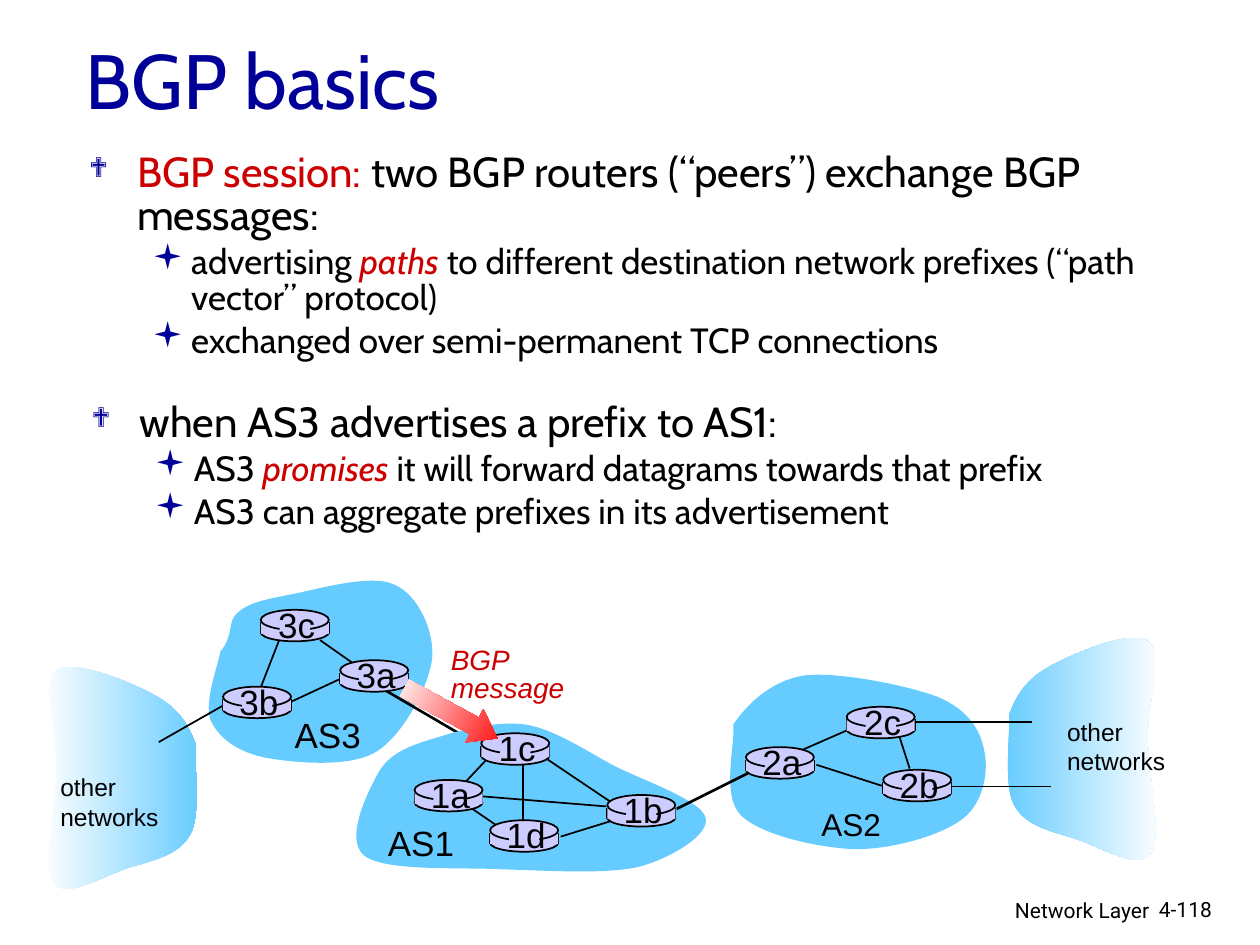
import pptx
import pptx.dml.color
import pptx.enum.shapes
import pptx.enum.text
import pptx.oxml
import pptx.oxml.ns
import pptx.util
from pptx.util import Inches

SHAPE = pptx.enum.shapes.MSO_SHAPE
ALIGN = pptx.enum.text.PP_ALIGN
BLACK, RED, NAVY = "000000", "CC0000", "000099"
CLOUD, ROUTER = "66CCFF", "CCCCFF"

# Body text: (level, [(text, colour, italic), ...])
SESSION = [
    (0, [("BGP session: ", RED, False),
         ("two BGP routers (“peers”) exchange BGP messages:", BLACK, False)]),
    (1, [("advertising ", BLACK, False), ("paths ", RED, True),
         ("to different destination network prefixes (“path vector” protocol)", BLACK, False)]),
    (1, [("exchanged over semi-permanent TCP connections", BLACK, False)]),
]
PROMISE = [
    (0, [("when AS3 advertises a prefix to AS1:", BLACK, False)]),
    (1, [("AS3 ", BLACK, False), ("promises", RED, True),
         (" it will forward datagrams towards that prefix", BLACK, False)]),
    (1, [("AS3 can aggregate prefixes in its advertisement", BLACK, False)]),
]
# Level style: bullet, bullet size %, size, left margin, hanging indent
LEVELS = [("❖", 65, 24, 0.38, -0.38), ("▪", 100, 20, 0.81, -0.31)]

# Cloud outlines: start point, then cubic curves (two controls and an end)
AS1 = [(3.01, 6.12), (3.11, 5.96), (3.28, 5.91), (3.48, 5.85), (3.67, 5.79), (3.94, 5.72),
       (4.17, 5.75), (4.4, 5.79), (4.62, 5.94), (4.86, 6.07), (5.09, 6.19), (5.57, 6.35),
       (5.6, 6.49), (5.64, 6.62), (5.33, 6.81), (5.07, 6.88), (4.8, 6.94), (4.36, 6.91),
       (4, 6.9), (3.64, 6.88), (3.06, 6.92), (2.89, 6.79), (2.73, 6.66), (2.92, 6.28),
       (3.01, 6.12)]
AS2 = [(5.82, 5.75), (5.93, 5.59), (6.12, 5.4), (6.39, 5.36), (6.66, 5.33), (7.2, 5.44),
       (7.44, 5.53), (7.68, 5.63), (7.78, 5.79), (7.81, 5.95), (7.85, 6.11), (7.81, 6.37),
       (7.64, 6.5), (7.47, 6.63), (7.09, 6.74), (6.79, 6.74), (6.5, 6.73), (6.04, 6.63),
       (5.88, 6.47), (5.72, 6.31), (5.84, 5.9), (5.82, 5.75)]
AS3 = [(1.75, 5.17), (1.86, 5.04), (1.8, 4.93), (1.89, 4.86), (1.98, 4.78), (2.1, 4.76),
       (2.3, 4.72), (2.51, 4.68), (2.94, 4.55), (3.13, 4.64), (3.32, 4.72), (3.45, 5.01),
       (3.43, 5.23), (3.4, 5.45), (3.2, 5.84), (2.98, 5.97), (2.76, 6.1), (2.3, 6.05),
       (2.09, 6.01), (1.87, 5.96), (1.73, 5.85), (1.67, 5.71), (1.62, 5.57), (1.73, 5.28),
       (1.75, 5.17)]
RIGHT_NET = [(8.01, 5.67), (8.07, 5.51), (8.15, 5.39), (8.33, 5.29), (8.51, 5.19),
             (8.98, 4.99), (9.11, 5.09), (9.24, 5.18), (9.1, 5.59), (9.11, 5.87),
             (9.11, 6.16), (9.23, 6.65), (9.13, 6.78), (9.04, 6.91), (8.73, 6.72),
             (8.55, 6.66), (8.36, 6.6), (8.14, 6.56), (8.05, 6.39), (7.96, 6.23),
             (8.02, 5.82), (8.01, 5.67)]
LEFT_NET = [(9.56 - x, y + 0.23) for x, y in RIGHT_NET]

# Routers: label and top-left of the upper disc
ROUTERS = {"3b": (1.77, 5.45), "3c": (2.07, 4.84), "3a": (2.7, 5.24), "1c": (3.82, 5.82),
           "1a": (3.29, 6.19), "1d": (3.89, 6.51), "1b": (4.82, 6.31), "2a": (5.92, 5.93),
           "2c": (6.72, 5.61), "2b": (7.01, 6.11)}
# Links: x1, y1, x2, y2, width
SESSION_LINK = (3.06, 5.48, 3.83, 5.93, 1.5)
LINKS = [
    (2.31, 5.57, 2.74, 5.37, 1), (2.81, 5.27, 2.54, 5.08, 1), (2.22, 5.07, 2.06, 5.48, 1),
    (3.87, 6.02, 3.7, 6.2, 1), (4.15, 6.06, 4.15, 6.56, 1), (4.32, 6.01, 4.87, 6.38, 1),
    (4.87, 6.51, 4.45, 6.64, 1), (4.81, 6.4, 3.82, 6.32, 1), (3.72, 6.4, 3.94, 6.55, 1),
    (6.28, 5.99, 6.76, 5.78, 1), (6.48, 6.07, 7.01, 6.24, 1), (7.14, 5.85, 7.22, 6.1, 1),
    (7.26, 5.73, 8.19, 5.73, 0.75), (7.53, 6.24, 8.34, 6.24, 0.75),
    (1.77, 5.6, 1.26, 5.89, 1), (5.37, 6.42, 5.95, 6.13, 1.5)]
# Labels: lines, box, size
LABELS = [(["AS3"], (2.24, 5.61, 0.73, 0.43), 20), (["AS2"], (6.42, 6.34, 0.67, 0.4), 18),
          (["AS1"], (2.98, 6.47, 0.73, 0.43), 20),
          (["other", "networks"], (8.37, 5.64, 0.98, 0.57), 14),
          (["other", "networks"], (0.38, 6.08, 0.98, 0.57), 14)]


def rgb(color):
    return pptx.dml.color.RGBColor.from_string(color)


def element(tag, attributes=""):
    return pptx.oxml.parse_xml(f'<a:{tag} {pptx.oxml.ns.nsdecls("a")} {attributes}/>')


def style_font(font, name, size, color, italic=False):
    font.name, font.size, font.italic = name, pptx.util.Pt(size), italic
    font.color.rgb = rgb(color)


def text_box(parent, box, lines, name, size, color, align=ALIGN.LEFT, wrap=True,
             italic=False, spacing=None):
    tf = parent.add_textbox(*map(Inches, box)).text_frame
    tf.word_wrap = wrap
    if not wrap:
        tf.auto_size = pptx.enum.text.MSO_AUTO_SIZE.SHAPE_TO_FIT_TEXT
    tf.text = "\n".join(lines)
    for p in tf.paragraphs:
        p.alignment, p.line_spacing = align, spacing
        style_font(p.runs[0].font, name, size, color, italic)
    return tf


def bullet_box(parent, box, items):
    tf = parent.add_textbox(*map(Inches, box)).text_frame
    tf.word_wrap = True
    for i, (level, runs) in enumerate(items):
        p = tf.add_paragraph() if i else tf.paragraphs[0]
        char, percent, size, margin, indent = LEVELS[level]
        p.level = level
        ppr = p._p.get_or_add_pPr()
        ppr.set("marL", str(Inches(margin)))
        ppr.set("indent", str(Inches(indent)))
        color = element("buClr")
        color.append(element("srgbClr", f'val="{NAVY}"'))
        ppr.extend([color, element("buSzPct", f'val="{percent * 1000}"'),
                    element("buFont", 'typeface="Wingdings" charset="2"'),
                    element("buChar", f'char="{char}"')])
        p.line_spacing = 0.85
        if i:
            p.space_before = pptx.util.Pt(size * 0.2)
        for text, color, italic in runs:
            r = p.add_run()
            r.text = text
            style_font(r.font, "Cabin", size, color, italic)


def line(parent, x1, y1, x2, y2, width):
    c = parent.add_connector(pptx.enum.shapes.MSO_CONNECTOR.STRAIGHT,
                             *map(Inches, (x1, y1, x2, y2)))
    c.line.color.rgb, c.line.width = rgb(BLACK), pptx.util.Pt(width)
    c._element.spPr.append(element("effectLst"))


def paint(sp, colors, outline=False):
    """One colour gives a solid fill, two a left-to-right gradient."""
    sp.shadow.inherit = False
    if len(colors) == 1:
        sp.fill.solid()
        sp.fill.fore_color.rgb = rgb(colors[0])
    else:
        sp.fill.gradient()
        sp.fill.gradient_angle = 0
        for position, (stop, color) in enumerate(zip(sp.fill.gradient_stops, colors)):
            stop.color.rgb, stop.position = rgb(color), position
    if outline:
        sp.line.color.rgb, sp.line.width = rgb(BLACK), pptx.util.Pt(1)
    else:
        sp.line.fill.background()


def cloud(parent, curve, colors):
    start, *rest = [tuple(map(Inches, point)) for point in curve]
    builder = parent.build_freeform(*start, scale=1.0)
    builder.add_line_segments(rest, close=True)
    sp = builder.convert_to_shape()
    # Every three line segments become one cubic curve
    segments = list(sp._element.iter(pptx.oxml.ns.qn("a:lnTo")))
    for i in range(0, len(rest), 3):
        bezier = element("cubicBezTo")
        segments[i].addprevious(bezier)
        for segment in segments[i:i + 3]:
            bezier.append(segment[0])
            segment.getparent().remove(segment)
    paint(sp, colors)


def router(parent, label, x, y):
    group = parent.add_group_shape().shapes

    def part(kind, dx, dy, w, h, outline):
        paint(group.add_shape(kind, *map(Inches, (x + dx, y + dy, w, h))), [ROUTER], outline)

    part(SHAPE.OVAL, 0, 0.11, 0.54, 0.14, True)
    for side in (x, x + 0.54):
        line(group, side, y + 0.1, side, y + 0.19, 1)
    part(SHAPE.RECTANGLE, 0, 0.1, 0.54, 0.09, False)
    part(SHAPE.OVAL, 0, 0, 0.54, 0.16, True)
    part(SHAPE.RECTANGLE, 0.15, 0.02, 0.24, 0.21, False)
    text_box(group, (x + 0.03, y - 0.1, 0.51, 0.43), [label], "Arial", 20, BLACK,
             ALIGN.CENTER, wrap=False)


prs = pptx.Presentation()
prs.slide_width, prs.slide_height = Inches(10), Inches(7.5)
shapes = prs.slides.add_slide(prs.slide_layouts[6]).shapes

# Title, body and footer
title = text_box(shapes, (0.58, 0, 8.5, 1.25), ["BGP basics"], "Cabin", 44, NAVY)
title.vertical_anchor = pptx.enum.text.MSO_ANCHOR.MIDDLE
bullet_box(shapes, (0.61, 1.17, 9.3, 2.18), SESSION)
bullet_box(shapes, (0.63, 3.15, 9.3, 2.57), PROMISE)
text_box(shapes, (6.05, 7.07, 3.17, 0.31), ["Network Layer"], "Roboto", 12, BLACK, ALIGN.RIGHT)
text_box(shapes, (9.1, 7.07, 0.74, 0.3), ["4-118"], "Roboto", 12, BLACK)

# Network clouds; the AS3-AS1 link runs under AS1
cloud(shapes, RIGHT_NET, [CLOUD, "FFFFFF"])
cloud(shapes, LEFT_NET, ["FFFFFF", CLOUD])
cloud(shapes, AS2, [CLOUD])
cloud(shapes, AS3, [CLOUD])
line(shapes, *SESSION_LINK)
cloud(shapes, AS1, [CLOUD])

# Links, routers and labels
for link in LINKS:
    line(shapes, *link)
for label, (x, y) in ROUTERS.items():
    router(shapes, label, x, y)
for lines, box, size in LABELS:
    text_box(shapes, box, lines, "Arial", size, BLACK, wrap=False)

# BGP message arrow
arrow = shapes.add_shape(SHAPE.LEFT_ARROW, *map(Inches, (3.16, 5.51, 0.84, 0.3)))
arrow.adjustments[0], arrow.adjustments[1] = 0.5, 0.7
arrow.rotation = 208.5
paint(arrow, ["FF0000", "FFFFFF"])
text_box(shapes, (3.48, 5.09, 1.1, 0.56), ["BGP", "message"], "Arial", 16, RED,
         wrap=False, italic=True, spacing=0.85)

prs.save("out.pptx")
